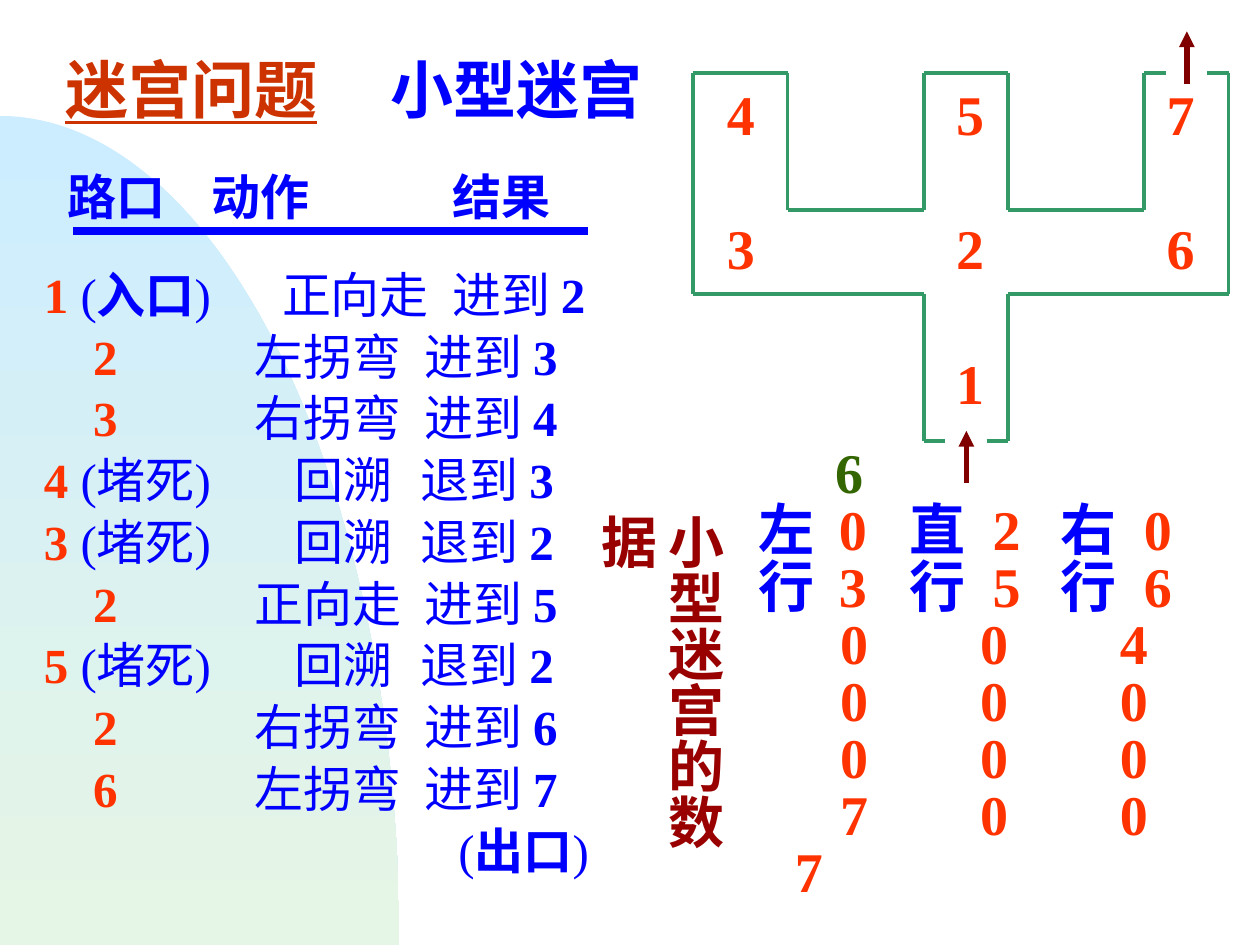
from dataclasses import dataclass
from itertools import pairwise
from math import cos, pi, sin

from lxml.etree import SubElement
from pptx import Presentation
from pptx.dml.color import RGBColor
from pptx.enum.shapes import MSO_CONNECTOR
from pptx.enum.text import PP_ALIGN
from pptx.oxml.ns import qn
from pptx.util import Inches, Pt


@dataclass(frozen=True)
class Theme:
    title: RGBColor = RGBColor(0xCC, 0x33, 0x00)
    text: RGBColor = RGBColor(0x00, 0x00, 0xFF)
    number: RGBColor = RGBColor(0xFF, 0x33, 0x00)
    size: RGBColor = RGBColor(0x33, 0x66, 0x00)
    caption: RGBColor = RGBColor(0x99, 0x00, 0x00)
    wall: RGBColor = RGBColor(0x33, 0x99, 0x66)
    arrow: RGBColor = RGBColor(0x80, 0x00, 0x00)
    sky: RGBColor = RGBColor(0xCC, 0xEC, 0xFF)
    meadow: RGBColor = RGBColor(0xE6, 0xF6, 0xE6)
    latin: str = "Times New Roman"
    chinese: str = "Noto Sans CJK SC"
    heading_size: int = 36
    large_size: int = 32
    body_size: int = 28


THEME = Theme()


def set_face(font, text):
    """Chinese text takes the Chinese face, everything else the Latin one."""
    is_chinese = any(ord(character) > 0x2E80 for character in text)
    font.name = THEME.chinese if is_chinese else THEME.latin
    if is_chinese:
        SubElement(font._element, qn("a:ea"), typeface=THEME.chinese)


def add_text_box(slide, left, top, width, height, wrap=True):
    box = slide.shapes.add_textbox(Inches(left), Inches(top), Inches(width), Inches(height))
    box.text_frame.word_wrap = wrap
    return box.text_frame


def add_paragraph(frame, runs, size, line_points, stops=()):
    """Add one line; runs are (text, colour, bold) and stops are tab stops in inches."""
    first = frame.paragraphs[0]
    paragraph = frame.add_paragraph() if first.runs else first
    paragraph.line_spacing = Pt(line_points)
    paragraph.font.size = Pt(size)
    if stops:
        tab_list = SubElement(paragraph._p.get_or_add_pPr(), qn("a:tabLst"))
        paragraph._p.pPr.defRPr.addprevious(tab_list)
        for stop in stops:
            SubElement(tab_list, qn("a:tab"), pos=str(Inches(stop)), algn="l")
    for text, colour, bold in runs:
        run = paragraph.add_run()
        run.text = text
        run.font.bold = bold
        run.font.color.rgb = colour
        set_face(run.font, text)
    return paragraph


def add_line(slide, start, end, colour, points, arrow=False):
    line = slide.shapes.add_connector(
        MSO_CONNECTOR.STRAIGHT, *(Inches(length) for length in (*start, *end)))
    line.line.color.rgb = colour
    line.line.width = Pt(points)
    if arrow:
        SubElement(line.line._get_or_add_ln(), qn("a:tailEnd"), type="triangle")
    SubElement(line._element.spPr, qn("a:effectLst"))


def add_backdrop(slide, left, top, width, height, steps=60):
    """A quarter ellipse that rises from the lower right to the upper left."""
    angles = [pi / 2 * step / steps for step in range(steps + 1)]
    curve = [(Inches(left + width * sin(angle)), Inches(top + height * (1 - cos(angle))))
             for angle in angles]
    builder = slide.shapes.build_freeform(*curve[0])
    builder.add_line_segments(curve[1:] + [(Inches(left), Inches(top + height))], close=True)
    shape = builder.convert_to_shape()
    shape.shadow.inherit = False
    shape.line.fill.background()
    shape.fill.gradient()
    shape.fill.gradient_angle = 270
    for stop, colour in zip(shape.fill.gradient_stops, (THEME.sky, THEME.meadow)):
        stop.color.rgb = colour


def add_heading(slide, left, top, width, height, text, colour, underline=False):
    frame = add_text_box(slide, left, top, width, height, wrap=False)
    paragraph = add_paragraph(frame, [(text, colour, True)], THEME.heading_size, 43.2)
    paragraph.runs[0].font.underline = underline


def add_steps(slide, left, top, width, height):
    """The walk through the maze: junction, action, result."""
    size, pitch = THEME.body_size, 35.3
    layouts = {"entry": (0.08, 1.97, 3.32), "open": (0.47, 1.75, 3.1),
               "dead": (0.08, 2.07, 3.07)}
    notes = {"entry": ("入口", True), "dead": ("堵死", False)}
    steps = [("entry", "1", "正向走", "进到", "2"), ("open", "2", "左拐弯", "进到", "3"),
             ("open", "3", "右拐弯", "进到", "4"), ("dead", "4", "回溯", "退到", "3"),
             ("dead", "3", "回溯", "退到", "2"), ("open", "2", "正向走", "进到", "5"),
             ("dead", "5", "回溯", "退到", "2"), ("open", "2", "右拐弯", "进到", "6"),
             ("open", "6", "左拐弯", "进到", "7")]

    def bracketed(text, bold):
        return [("(", THEME.text, False), (text, THEME.text, bold), (")", THEME.text, False)]

    frame = add_text_box(slide, left, top, width, height)
    header = add_paragraph(frame, [("\t路口\t动作\t结果", THEME.text, True)], size, pitch,
                           (0.27, 1.41, 3.32))
    header.space_after = Pt(20.6)
    for kind, junction, action, result, target in steps:
        runs = [("\t" + junction, THEME.number, True)]
        if kind in notes:
            runs += [(" ", THEME.text, False), *bracketed(*notes[kind])]
        runs += [(f"\t{action}\t{result} ", THEME.text, False), (target, THEME.text, True)]
        add_paragraph(frame, runs, size, pitch, layouts[kind])
    add_paragraph(frame, [("\t", THEME.text, False), *bracketed("出口", True)],
                  size, pitch, (3.37,))

    # Rule under the header
    rule = top + 0.58
    add_line(slide, (left + 0.41, rule), (left + 4.5, rule), THEME.text, 4.5)


def add_maze(slide, left, top):
    """Walls, junction numbers and the arrows at entrance and exit."""
    walls = [
        [(2, 2.92), (1.83, 2.92), (1.83, 1.75), (0, 1.75), (0, 0), (0.75, 0), (0.75, 1.09),
         (1.83, 1.09), (1.83, 0), (2.5, 0), (2.5, 1.09), (3.58, 1.09), (3.58, 0), (3.75, 0)],
        [(2.33, 2.92), (2.5, 2.92), (2.5, 1.75), (4.25, 1.75), (4.25, 0), (4.08, 0)],
    ]
    arrows = [((2.17, 3.25), (2.17, 2.84)), ((3.92, 0.09), (3.92, -0.33))]
    columns = [(0.17, "43"), (1.99, "521"), (3.66, "76")]

    def place(point):
        return left + point[0], top + point[1]

    for wall in walls:
        for start, end in pairwise(wall):
            add_line(slide, place(start), place(end), THEME.wall, 2.25)
    for start, end in arrows:
        add_line(slide, place(start), place(end), THEME.arrow, 3, arrow=True)
    for offset, numbers in columns:
        height = 0.63 + 1.07 * (len(numbers) - 1)
        frame = add_text_box(slide, left + offset, top, 0.42, height, wrap=False)
        for number in numbers:
            paragraph = add_paragraph(frame, [(number, THEME.number, True)],
                                      THEME.large_size, 38.4)
            paragraph.alignment = PP_ALIGN.CENTER
            paragraph.space_after = Pt(38.4)


def add_maze_data(slide, left, top, width, height):
    """The input file: size, then left, straight and right moves, then the exit."""
    label_stops, number_stops = (0.64, 1.2, 1.86, 2.4, 3.06), (0.65, 1.76, 2.87)
    labelled = [("左直右", "020"), ("行行行", "356")]
    numbered = ["004", "000", "000", "700"]
    frame = add_text_box(slide, left, top, width, height)

    def add_row(runs, stops):
        add_paragraph(frame, [(text, colour, True) for text, colour in runs],
                      THEME.large_size, 32.6, stops)

    add_row([("\t6", THEME.size)], (0.61,))
    for labels, numbers in labelled:
        runs = []
        for index, (label, number) in enumerate(zip(labels, numbers)):
            runs += [("\t" * (index > 0) + label, THEME.text), ("\t" + number, THEME.number)]
        add_row(runs, label_stops)
    for numbers in numbered:
        add_row([("".join("\t" + number for number in numbers), THEME.number)], number_stops)
    add_row([("\t7", THEME.number)], (0.29,))


def add_vertical_caption(slide, left, top, width, height):
    frame = add_text_box(slide, left, top, width, height)
    frame.margin_left = frame.margin_right = Inches(0.05)
    frame.margin_top = frame.margin_bottom = Inches(0.1)
    frame._txBody.bodyPr.set("vert", "eaVert")
    add_paragraph(frame, [("小型迷宫的数据", THEME.caption, True)], THEME.large_size, 38.4)


def main():
    presentation = Presentation()
    presentation.slide_width, presentation.slide_height = Inches(10), Inches(7.5)
    slide = presentation.slides.add_slide(presentation.slide_layouts[6])
    add_backdrop(slide, 0, 0.92, 3.17, 6.58)
    add_heading(slide, 0.42, 0.35, 2.5, 0.7, "迷宫问题", THEME.title, underline=True)
    add_heading(slide, 3, 0.35, 2.25, 0.7, "小型迷宫", THEME.text)
    add_steps(slide, 0.17, 1.25, 4.9, 6.2)
    add_maze(slide, 5.5, 0.58)
    add_maze_data(slide, 5.92, 3.5, 3.6, 3.75)
    add_vertical_caption(slide, 4.7, 3.98, 1.13, 3.05)
    presentation.save("out.pptx")


if __name__ == "__main__":
    main()
